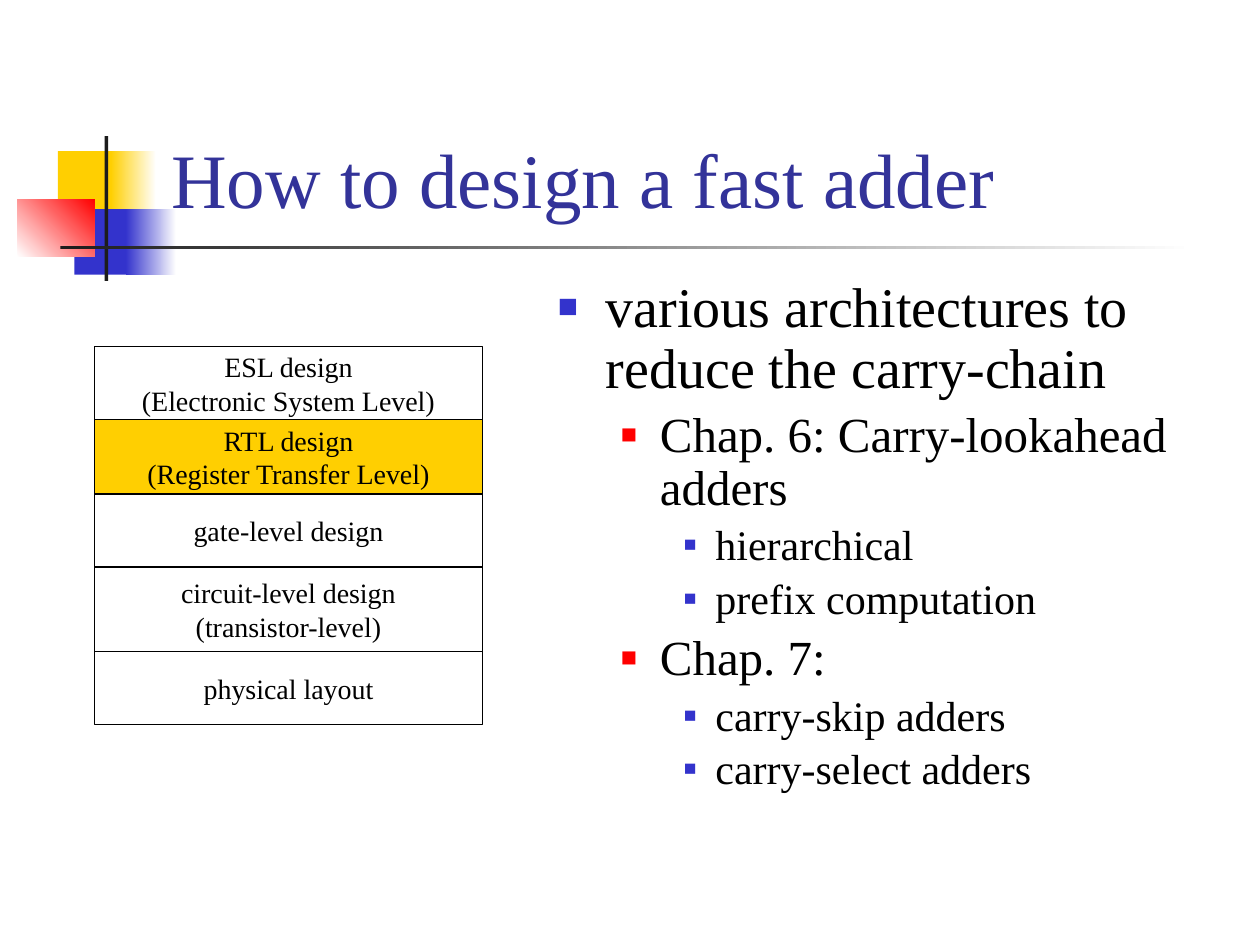
from lxml.etree import SubElement
from pptx import Presentation
from pptx.dml.color import RGBColor
from pptx.enum.shapes import MSO_SHAPE
from pptx.enum.text import MSO_ANCHOR, PP_ALIGN
from pptx.oxml.ns import qn
from pptx.util import Inches, Pt

YELLOW, BLUE, RED = "FFCF01", "3333CC", "FF0000"
WHITE, BLACK, CHARCOAL, NAVY = "FFFFFF", "000000", "1C1C1C", "333399"

# Per outline level: text size, left margin, hanging indent, bullet colour, bullet percent
LEVELS = [
    (32, 0.38, 0.38, BLUE, 60),
    (28, 0.81, 0.31, RED, 55),
    (24, 1.25, 0.25, BLUE, 50),
]

DECORATION = [
    ((0.46, 1.2, 0.48, 0.52), [YELLOW], 0),
    ((0.88, 1.2, 0.36, 0.52), [YELLOW, WHITE], 0),
    ((0.59, 1.66, 0.46, 0.52), [BLUE], 0),
    ((1, 1.66, 0.4, 0.52), [BLUE, WHITE], 0),
    ((0.14, 1.58, 0.61, 0.46), [WHITE, RED], 45),
    ((0.83, 1.08, 0.03, 1.15), [CHARCOAL], 0),
    ((0.48, 1.95, 9, 0.03), [CHARCOAL, WHITE], 0),
]

OUTLINE = [
    (0, "various architectures to reduce the carry-chain"),
    (1, "Chap. 6: Carry-lookahead adders"),
    (2, "hierarchical"),
    (2, "prefix computation"),
    (1, "Chap. 7:"),
    (2, "carry-skip adders"),
    (2, "carry-select adders"),
]

# Design levels from abstract to concrete: top edge, lines, fill
DESIGN_LEVELS = [
    (2.75, ["ESL design", "(Electronic System Level)"], None),
    (3.33, ["RTL design", "(Register Transfer Level)"], YELLOW),
    (3.92, ["gate-level design"], None),
    (4.5, ["circuit-level design", "(transistor-level)"], None),
    (5.17, ["physical layout"], None),
]
STACK_BOTTOM = 5.75


def color(hex_string):
    return RGBColor.from_string(hex_string)


def write(para, text, size, font="Times New Roman", fill=BLACK, align=PP_ALIGN.LEFT):
    para.alignment = align
    span = para.add_run()
    span.text = text
    span.font.size = Pt(size)
    span.font.name = font
    span.font.color.rgb = color(fill)


def set_bullet(para, margin, hanging, fill, percent):
    """Add spacing before, hanging indent and a square bullet."""
    para.line_spacing = 0.9
    properties = para._p.get_or_add_pPr()
    properties.set("marL", str(Inches(margin)))
    properties.set("indent", str(-Inches(hanging)))
    before = SubElement(properties, qn("a:spcBef"))
    SubElement(before, qn("a:spcPct"), val="20000")
    bullet_color = SubElement(properties, qn("a:buClr"))
    SubElement(bullet_color, qn("a:srgbClr"), val=fill)
    SubElement(properties, qn("a:buSzPct"), val=str(percent * 1000))
    SubElement(properties, qn("a:buFont"), typeface="Times New Roman")
    SubElement(properties, qn("a:buChar"), char="■")


def paragraphs(frame, count):
    for _ in range(count - 1):
        frame.add_paragraph()
    return frame.paragraphs


class SlideBuilder:
    def __init__(self, slide):
        self.shapes = slide.shapes

    def rectangle(self, place, fills=(), angle=0, line=None):
        """Draw a rectangle with no fill, one fill or a two-colour gradient."""
        box = self.shapes.add_shape(MSO_SHAPE.RECTANGLE, *map(Inches, place))
        box.shadow.inherit = False
        if len(fills) == 2:
            box.fill.gradient()
            box.fill.gradient_angle = angle
            for stop, fill, position in zip(box.fill.gradient_stops, fills, (0, 1)):
                stop.color.rgb = color(fill)
                stop.position = position
        elif fills:
            box.fill.solid()
            box.fill.fore_color.rgb = color(fills[0])
        else:
            box.fill.background()
        if line:
            box.line.color.rgb = color(line)
            box.line.width = Pt(0.75)
        else:
            box.line.fill.background()
        return box

    def text_frame(self, place, anchor=MSO_ANCHOR.TOP):
        frame = self.shapes.add_textbox(*map(Inches, place)).text_frame
        frame.word_wrap = True
        frame.vertical_anchor = anchor
        return frame

    def title(self, text):
        frame = self.text_frame((1.26, 0.23, 8.52, 1.6), MSO_ANCHOR.BOTTOM)
        write(frame.paragraphs[0], text, 44, fill=NAVY)

    def outline(self, items):
        frame = self.text_frame((4.33, 2.17, 5.46, 4.67))
        for para, (level, text) in zip(paragraphs(frame, len(items)), items):
            size, *bullet = LEVELS[level]
            para.level = level
            write(para, text, size)
            set_bullet(para, *bullet)

    def design_stack(self, levels, bottom):
        bottoms = [top for top, _, _ in levels[1:]] + [bottom]
        for (top, lines, fill), end in zip(levels, bottoms):
            place = (0.75, top, 3.08, end - top)
            frame = self.rectangle(place, [fill] if fill else [], line=BLACK).text_frame
            frame.word_wrap = False
            frame.vertical_anchor = MSO_ANCHOR.MIDDLE
            for para, text in zip(paragraphs(frame, len(lines)), lines):
                write(para, text, 16, align=PP_ALIGN.CENTER)


def main():
    deck = Presentation()
    deck.slide_width, deck.slide_height = Inches(10), Inches(7.5)
    builder = SlideBuilder(deck.slides.add_slide(deck.slide_layouts[6]))
    for place, fills, angle in DECORATION:
        builder.rectangle(place, fills, angle)
    builder.title("How to design a fast adder")
    builder.outline(OUTLINE)
    builder.design_stack(DESIGN_LEVELS, STACK_BOTTOM)
    deck.save("out.pptx")


if __name__ == "__main__":
    main()
